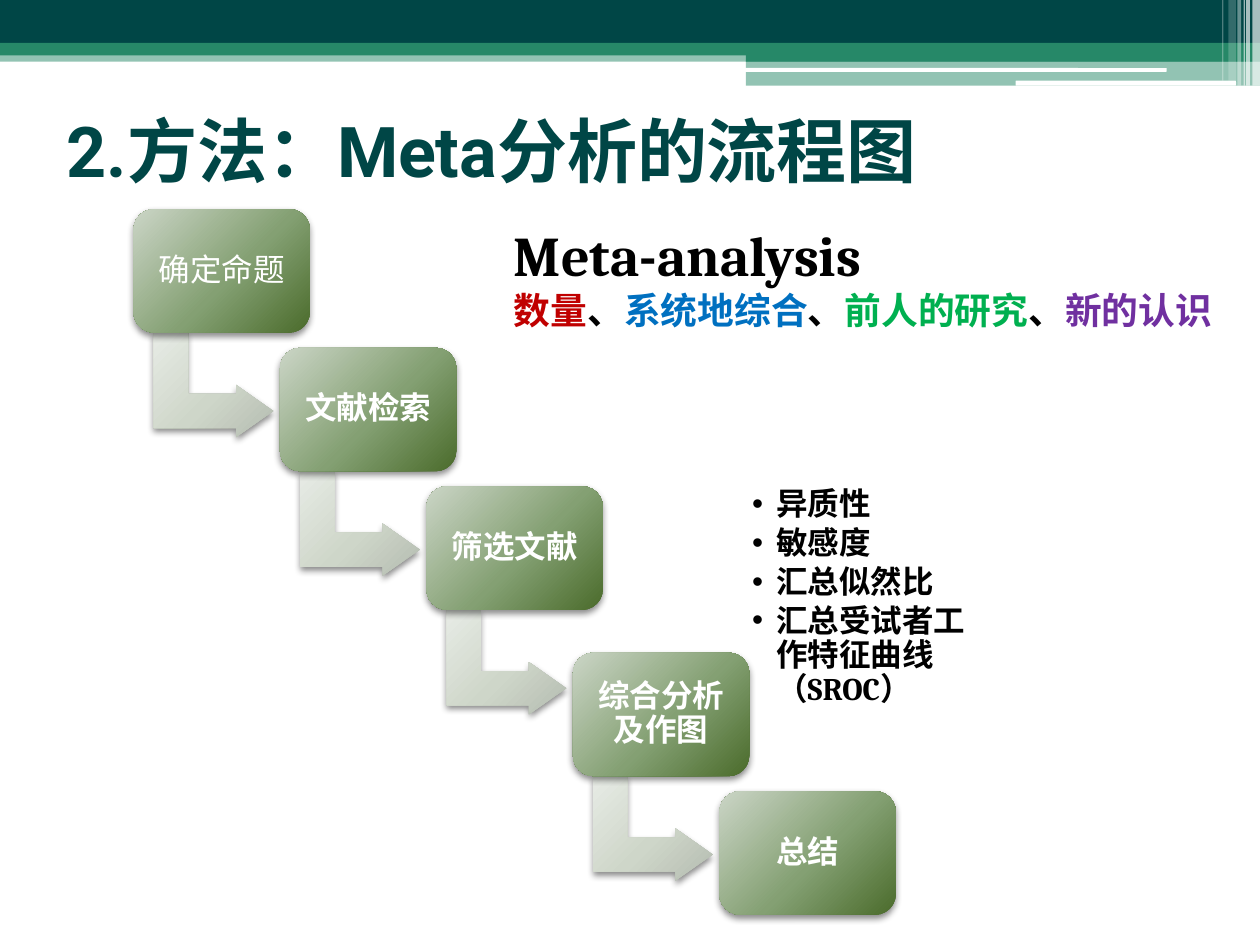
from pptx import Presentation
from pptx.dml.color import RGBColor
from pptx.enum.shapes import MSO_SHAPE
from pptx.enum.text import MSO_ANCHOR, MSO_AUTO_SIZE, PP_ALIGN
from pptx.oxml import parse_xml
from pptx.oxml.ns import nsdecls, qn
from pptx.util import Inches, Pt

RECT, ROUNDED = MSO_SHAPE.RECTANGLE, MSO_SHAPE.ROUNDED_RECTANGLE
BENT_ARROW = MSO_SHAPE.BENT_UP_ARROW
MIDDLE, TOP = MSO_ANCHOR.MIDDLE, MSO_ANCHOR.TOP
CENTER, LEFT = PP_ALIGN.CENTER, PP_ALIGN.LEFT
NO_FIT = MSO_AUTO_SIZE.NONE

COLORS = {
    "dark": "004646", "green": "268868", "white": "FFFFFF", "black": "000000",
    "red": "C00000", "blue": "0070C0", "leaf": "00B050", "purple": "7030A0",
}
STEP_GRADIENT = ("CBD5C6", "84A073", "4B6C2C")
ARROW_GRADIENT = ("E7EBE5", "CED6C9", "B5BCB1")
SERIF, TITLE_FONT, CJK_FONT = "Cambria", "Roboto", "Noto Sans CJK JP"

STEPS = [("确定命题", False), ("文献检索", True), ("筛选文献", True),
         ("综合分析及作图", True), ("总结", True)]
STEP_TOPS = [1.66, 2.76, 3.86, 5.18, 6.28]
MEASURES = ["异质性", "敏感度", "汇总似然比", "汇总受试者工作特征曲线（SROC）"]
DEFINITION = [("数量", "red"), ("、", "black"), ("系统地综合", "blue"),
              ("、", "black"), ("前人的研究", "leaf"), ("、", "black"),
              ("新的认识", "purple")]


def set_all(target, values):
    """Set each named attribute of the target."""
    for name, value in values.items():
        setattr(target, name, value)


def add_run(paragraph, text, size, color, bold=True, font=SERIF):
    """Append a formatted run with a matching East Asian font."""
    run = paragraph.add_run()
    run.text = text
    set_all(run.font, {"size": Pt(size), "bold": bold, "name": font})
    run.font.color.rgb = RGBColor.from_string(COLORS[color])
    run.font._element.find(qn("a:latin")).addnext(
        parse_xml(f'<a:ea {nsdecls("a")} typeface="{CJK_FONT}"/>'))


def format_frame(frame, anchor, inset_x, inset_y):
    """Apply wrapping, anchoring and margins to a text frame."""
    set_all(frame, {
        "word_wrap": True, "auto_size": NO_FIT, "vertical_anchor": anchor,
        "margin_left": Inches(inset_x), "margin_right": Inches(inset_x),
        "margin_top": Inches(inset_y), "margin_bottom": Inches(inset_y)})


def place(shape, box):
    """Move a shape to a box given in inches."""
    set_all(shape, dict(zip(("left", "top", "width", "height"), map(Inches, box))))


def add_bar(slide, box, color, opacity=100, kind=RECT):
    """Add one flat bar of the header."""
    bar = slide.shapes.add_shape(kind, *map(Inches, box))
    bar.shadow.inherit = False
    bar.fill.solid()
    bar.fill.fore_color.rgb = RGBColor.from_string(COLORS[color])
    bar.line.fill.background()
    if opacity < 100:
        bar._element.spPr.find(".//" + qn("a:srgbClr")).append(
            parse_xml(f'<a:alpha {nsdecls("a")} val="{opacity * 1000}"/>'))


def add_header(slide, box):
    """Draw the layered bands and the light stripes at the right end."""
    left, top, width, height = box
    right = left + width
    split = left + 5.92
    add_bar(slide, (left, top + 0.4, width, 0.09), "green", 50)
    add_bar(slide, (left, top, width, 0.34), "dark")
    add_bar(slide, (left, top + 0.34, width, 0.1), "green")
    add_bar(slide, (split, top + 0.39, right - split, 0.1), "green")
    add_bar(slide, (split, top + 0.48, right - split, 0.2), "green", 50)
    add_bar(slide, (split - 0.01, top + 0.54, 3.35, 0.03), "white", kind=ROUNDED)
    add_bar(slide, (right - 1.94, top + 0.64, 1.75, 0.04), "white", kind=ROUNDED)
    stripes = [(0.06, 0.06, 0, 65), (0.11, 0.03, 0, 65), (0.13, 0.01, 0, 60),
               (0.18, 0.03, 0, 40), (0.25, 0.06, 0.04, 20), (0.3, 0.01, 0.04, 30)]
    for offset, thickness, shortfall, opacity in stripes:
        add_bar(slide, (right - offset, top, thickness, height - shortfall),
                "white", opacity)


def add_shaded(slide, kind, box, gradient):
    """Add a shape with a radial gradient and a soft shadow below."""
    shape = slide.shapes.add_shape(kind, *map(Inches, box))
    stops = "".join(f'<a:gs pos="{pos}"><a:srgbClr val="{color}"/></a:gs>'
                    for pos, color in zip((0, 55000, 100000), gradient))
    properties = shape._element.spPr
    properties.append(parse_xml(
        f'<a:gradFill {nsdecls("a")} rotWithShape="1"><a:gsLst>{stops}</a:gsLst>'
        '<a:path path="circle"><a:fillToRect l="-40000" t="-90000" '
        'r="140000" b="190000"/></a:path></a:gradFill>'))
    shape.line.fill.background()
    shape.shadow.inherit = False
    properties.find(qn("a:effectLst")).append(parse_xml(
        f'<a:outerShdw {nsdecls("a")} blurRad="{Pt(4)}" dist="{Pt(2)}" '
        'dir="5400000" rotWithShape="0"><a:srgbClr val="000000">'
        '<a:alpha val="45000"/></a:srgbClr></a:outerShdw>'))
    return shape


def add_flow(slide, box):
    """Draw the descending steps with a bent arrow from each to the next."""
    left, _, width, _ = box
    step_width, step_height = 1.4, 0.98
    stride = (width - step_width) / (len(STEPS) - 1)
    for index, ((label, bold), top) in enumerate(zip(STEPS, STEP_TOPS)):
        x = left + index * stride
        if index < len(STEPS) - 1:
            arrow = add_shaded(slide, BENT_ARROW, (x + 0.22, top + 0.92, 0.83, 0.95),
                               ARROW_GRADIENT)
            arrow.rotation = 90
            for position, value in enumerate((0.328, 0.25, 0.358)):
                arrow.adjustments[position] = value
        step = add_shaded(slide, ROUNDED, (x, top, step_width, step_height),
                          STEP_GRADIENT)
        format_frame(step.text_frame, MIDDLE, 0.07, 0.07)
        caption = step.text_frame.paragraphs[0]
        set_all(caption, {"alignment": CENTER, "line_spacing": 0.9})
        add_run(caption, label, 18, "white", bold)


def add_measures(slide, box):
    """Fill the body placeholder with the bulleted measures."""
    measures = slide.placeholders[1]
    place(measures, box)
    frame = measures.text_frame
    format_frame(frame, MIDDLE, 0.07, 0.07)
    for index, measure in enumerate(MEASURES):
        item = frame.add_paragraph() if index else frame.paragraphs[0]
        properties = item._p.get_or_add_pPr()
        properties.set("marL", str(Inches(0.19)))
        properties.set("indent", str(Inches(-0.19)))
        properties.append(parse_xml(f'<a:buChar {nsdecls("a")} char="•"/>'))
        set_all(item, {"alignment": LEFT, "line_spacing": 0.9,
                       "space_before": Pt(0), "space_after": Pt(2.7)})
        add_run(item, measure, 18, "black")


def add_title(slide, box):
    """Place and format the slide title."""
    title = slide.shapes.title
    place(title, box)
    format_frame(title.text_frame, MIDDLE, 0.1, 0.05)
    heading = title.text_frame.paragraphs[0]
    heading.alignment = LEFT
    add_run(heading, "2.方法：Meta分析的流程图", 40, "dark", font=TITLE_FONT)


def add_definition(slide, box):
    """Add the term and its coloured key words."""
    definition = slide.shapes.add_textbox(*map(Inches, box))
    frame = definition.text_frame
    format_frame(frame, TOP, 0.1, 0.05)
    add_run(frame.paragraphs[0], "Meta-analysis", 32, "black")
    keywords = frame.add_paragraph()
    for text, color in DEFINITION:
        add_run(keywords, text, 21, color, font=CJK_FONT)


def main():
    """Build and save the slide."""
    deck = Presentation()
    set_all(deck, {"slide_width": Inches(10), "slide_height": Inches(7.5)})
    slide = deck.slides.add_slide(deck.slide_layouts[1])
    add_header(slide, (0, 0, 10, 0.68))
    add_flow(slide, (1.06, 1.66, 6.05, 5.6))
    add_measures(slide, (5.9, 4.04, 2, 1.41))
    add_title(slide, (0.43, 0.6, 9, 1.17))
    add_definition(slide, (3.98, 1.7, 5.84, 2.71))
    deck.save("out.pptx")


if __name__ == "__main__":
    main()
